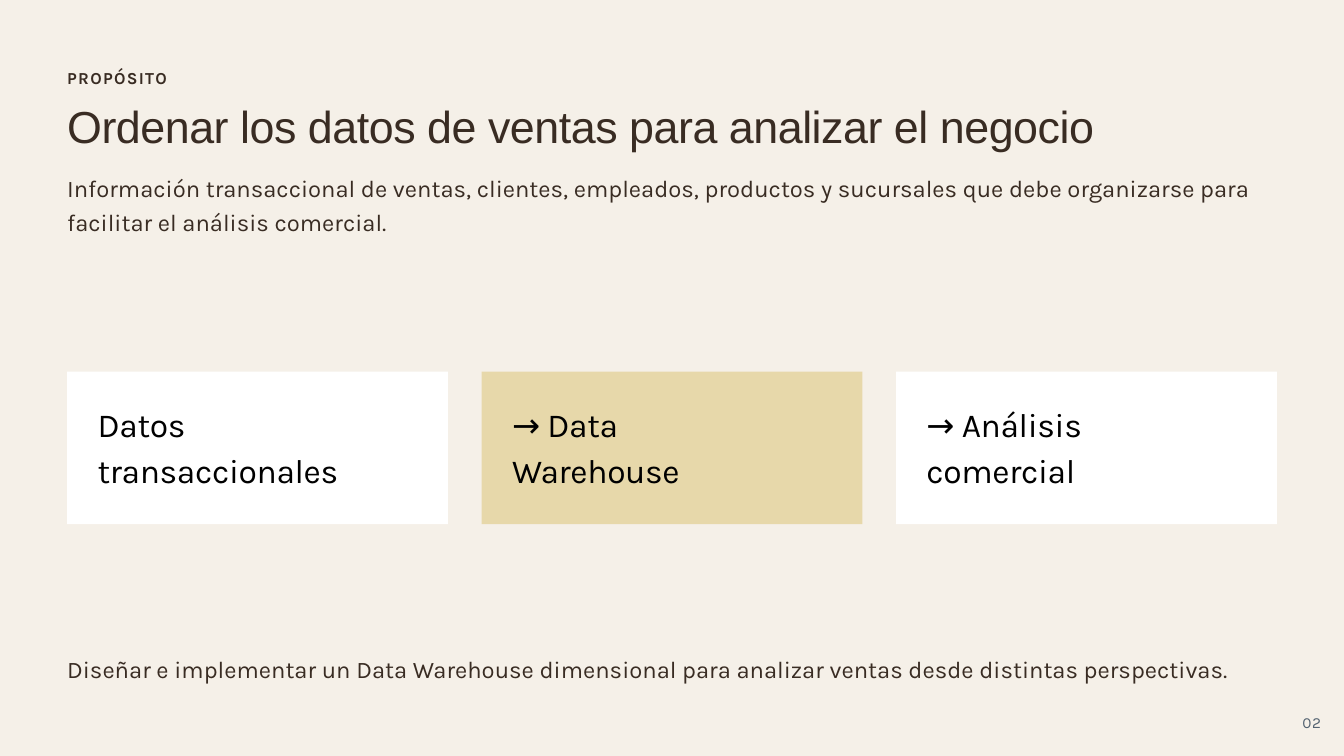
from pptx import Presentation
from pptx.dml.color import RGBColor
from pptx.enum.shapes import MSO_SHAPE
from pptx.enum.text import MSO_ANCHOR, MSO_AUTO_SIZE
from pptx.oxml.ns import qn
from pptx.util import Inches, Pt

WIDTH, HEIGHT = 20, 11.25
MARGIN = WIDTH / 20
CONTENT = WIDTH - 2 * MARGIN
BROWN, BLACK, SLATE = "392C23", "000000", "536270"
CREAM, WHITE, SAND = "F5F0E8", "FFFFFF", "E7D8AA"
CARDS = [
    (["Datos", "transaccionales"], WHITE),
    (["→ Data", "Warehouse"], SAND),
    (["→ Análisis", "comercial"], WHITE),
]


def paint(color_format, color):
    color_format.rgb = RGBColor.from_string(color)


def add_text(page, area, lines, size, leading, color=BROWN, font="Karla",
             bold=False, tracking=0, fixed=False):
    box = page.shapes.add_textbox(*map(Inches, area))
    frame = box.text_frame
    frame.word_wrap = True
    frame.auto_size = MSO_AUTO_SIZE.NONE if fixed else MSO_AUTO_SIZE.SHAPE_TO_FIT_TEXT
    frame.vertical_anchor = MSO_ANCHOR.MIDDLE if fixed else MSO_ANCHOR.TOP
    frame.margin_left = frame.margin_right = frame.margin_top = frame.margin_bottom = 0
    frame.text = "\n".join(lines)
    for para in frame.paragraphs:
        para.line_spacing = Pt(leading)
        para.font.size = Pt(size)
        para.font.name = font
        para.font.bold = bold
        paint(para.font.color, color)
        if tracking:
            properties = para._p.pPr.find(qn("a:defRPr"))
            properties.set("spc", str(round(tracking * 100)))


def add_heading(page, left, top, width):
    add_text(page, (left, top, width + MARGIN, 0.35), ["PROPÓSITO"], 18, 23.3,
             bold=True, tracking=1.4)
    add_text(page, (left, top + 0.54, width, 0.73),
             ["Ordenar los datos de ventas para analizar el negocio"],
             48, 53.6, font="Arial", tracking=-0.5)
    add_text(page, (left, top + 1.51, width, 1.11),
             ["Información transaccional de ventas, clientes, empleados, productos "
              "y sucursales que debe organizarse para facilitar el análisis comercial."],
             25.5, 37)


def add_card(page, left, top, width, height, lines, fill):
    card = page.shapes.add_shape(MSO_SHAPE.RECTANGLE,
                                 *map(Inches, (left, top, width, height)))
    card.shadow.inherit = False
    card.fill.solid()
    paint(card.fill.fore_color, fill)
    card.line.fill.background()
    inset_x, inset_y = width * 0.08, height * 0.18
    add_text(page, (left + inset_x, top + inset_y, width - 2 * inset_x, 1.41),
             lines, 36, 48.8, BLACK, tracking=-0.4)


def add_flow(page, left, top, width, height):
    gap = MARGIN / 2
    card_width = (width - gap * (len(CARDS) - 1)) / len(CARDS)
    for column, (lines, fill) in enumerate(CARDS):
        add_card(page, left + column * (card_width + gap), top,
                 card_width, height, lines, fill)


def add_footer(page, left, top, width):
    add_text(page, (left, top, width + MARGIN, 0.6),
             ["Diseñar e implementar un Data Warehouse dimensional "
              "para analizar ventas desde distintas perspectivas."], 25.5, 37)
    add_text(page, (WIDTH - 0.62, top + 0.88, 0.62, 0.37), ["02"], 16.5, 23.9,
             SLATE, tracking=0.7, fixed=True)


def main():
    deck = Presentation()
    deck.slide_width, deck.slide_height = Inches(WIDTH), Inches(HEIGHT)
    page = deck.slides.add_slide(deck.slide_layouts[6])
    page.background.fill.solid()
    paint(page.background.fill.fore_color, CREAM)
    add_heading(page, MARGIN, 0.98, CONTENT)
    add_flow(page, MARGIN, 5.53, CONTENT, 2.27)
    add_footer(page, MARGIN, 9.66, CONTENT)
    deck.save("out.pptx")


if __name__ == "__main__":
    main()
